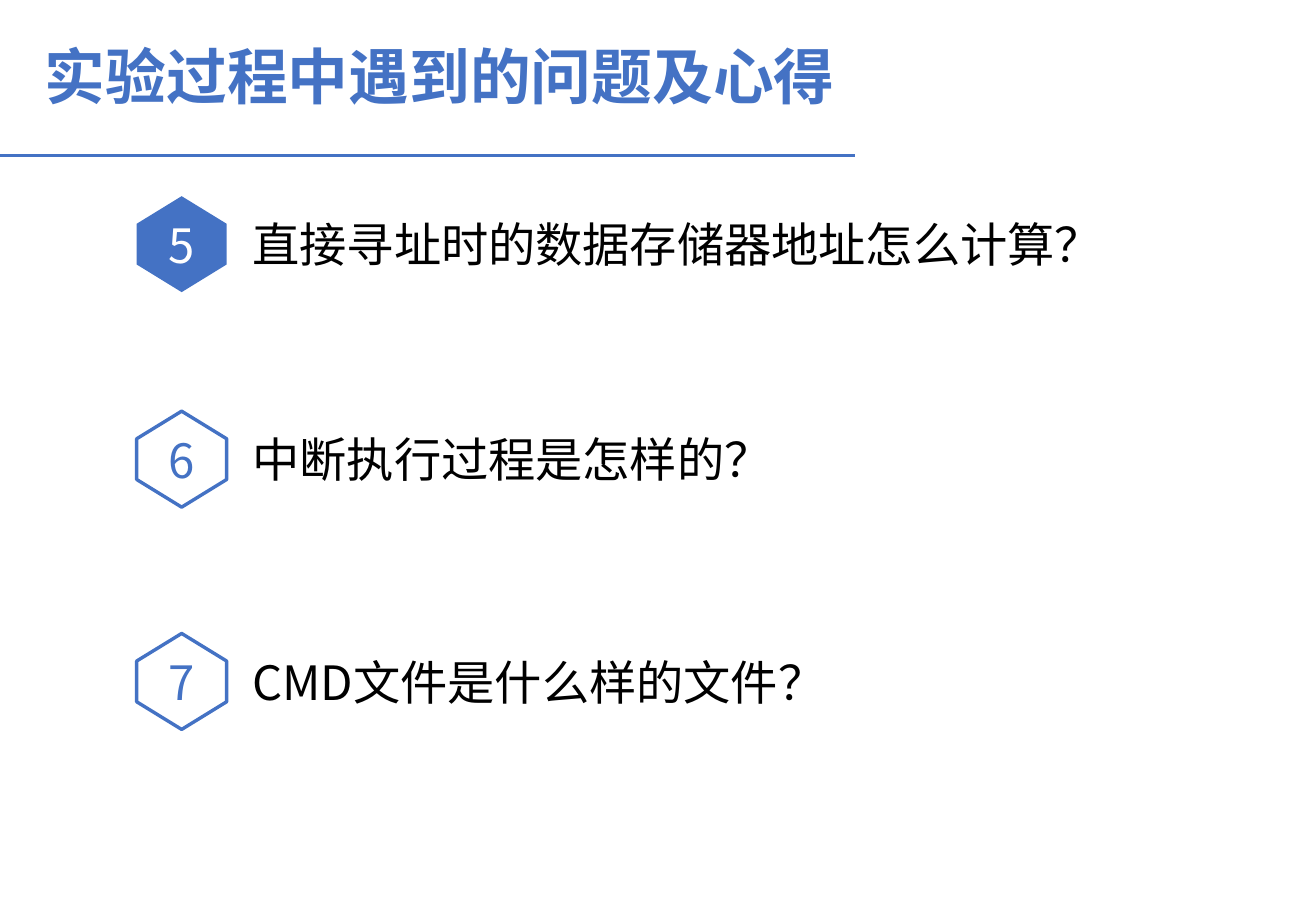
from lxml.etree import SubElement
from pptx import Presentation
from pptx.dml.color import RGBColor
from pptx.enum.lang import MSO_LANGUAGE_ID as Language
from pptx.enum.shapes import MSO_CONNECTOR as Connector, MSO_SHAPE as Shape
from pptx.enum.text import MSO_ANCHOR as Anchor, MSO_AUTO_SIZE as AutoSize, PP_ALIGN as Align
from pptx.oxml.ns import qn
from pptx.util import Inches, Pt

TITLE = "实验过程中遇到的问题及心得"
QUESTIONS = [
    {"number": "5", "text": "直接寻址时的数据存储器地址怎么计算？", "top": 1.64, "filled": True},
    {"number": "6", "text": "中断执行过程是怎样的？", "top": 3.41, "filled": False},
    {"number": "7", "text": "CMD文件是什么样的文件？", "top": 5.24, "filled": False},
]
FONT = "Noto Sans CJK SC"
BLUE, WHITE, BLACK = "4472C4", "FFFFFF", "000000"
WIDTH, HEIGHT = 10.83, 7.5
RULE_END, RULE_TOP = WIDTH * 0.65, 1.28
BADGE_LEFT, BADGE_WIDTH, BADGE_HEIGHT = 1.1, 0.79, 0.74
TEXT_LEFT, TEXT_WIDTH, TEXT_HEIGHT = 1.98, 7.87, 0.57


def color(value):
    return RGBColor.from_string(value)


def write(frame, text, size, shade, bold=False, **layout):
    para = frame.paragraphs[0]
    for name, value in layout.items():
        setattr(para, name, value)
    span = para.add_run()
    span.text = text
    formats = {"name": FONT, "size": Pt(size), "bold": bold,
               "language_id": Language.SIMPLIFIED_CHINESE}
    for name, value in formats.items():
        setattr(span.font, name, value)
    span.font.color.rgb = color(shade)
    SubElement(span.font._element, qn("a:ea"), typeface=FONT)


def add_text(page, area, text, size, shade, auto_size, **style):
    box = page.shapes.add_textbox(*map(Inches, area))
    box.text_frame.word_wrap = True
    box.text_frame.auto_size = auto_size
    write(box.text_frame, text, size, shade, **style)


def add_badge(page, number, top, filled):
    area = (BADGE_LEFT, top, BADGE_WIDTH, BADGE_HEIGHT)
    badge = page.shapes.add_shape(Shape.HEXAGON, *map(Inches, area))
    badge.rotation = 90
    badge.shadow.inherit = False
    badge.adjustments[0] = 0.307
    badge.adjustments[1] = 1.155
    if filled:
        badge.fill.solid()
        badge.fill.fore_color.rgb = color(BLUE)
        badge.line.fill.background()
    else:
        badge.fill.background()
        badge.line.color.rgb = color(BLUE)
        badge.line.width = Pt(2)
    frame = badge.text_frame
    frame.vertical_anchor = Anchor.MIDDLE
    frame._txBody.bodyPr.set("vert", "vert270")
    write(frame, number, 28, WHITE if filled else BLUE, alignment=Align.CENTER)


def add_rule(page):
    ends = (0, RULE_TOP, RULE_END, RULE_TOP)
    rule = page.shapes.add_connector(Connector.STRAIGHT, *map(Inches, ends))
    rule.line.color.rgb = color(BLUE)
    rule.line.width = Pt(1.25)
    SubElement(rule._element.spPr, qn("a:effectLst"))


def main():
    deck = Presentation()
    deck.slide_width, deck.slide_height = Inches(WIDTH), Inches(HEIGHT)
    page = deck.slides.add_slide(deck.slide_layouts[6])
    add_rule(page)
    add_text(page, (0.27, 0.34, 8.87, 0.71), TITLE, 36, BLUE, AutoSize.NONE,
             bold=True, line_spacing=0.9)
    for question in QUESTIONS:
        top = question["top"]
        add_badge(page, question["number"], top, question["filled"])
        text_top = top + (BADGE_HEIGHT - TEXT_HEIGHT) / 2
        add_text(page, (TEXT_LEFT, text_top, TEXT_WIDTH, TEXT_HEIGHT), question["text"],
                 28, BLACK, AutoSize.SHAPE_TO_FIT_TEXT, alignment=Align.JUSTIFY)
    deck.save("out.pptx")


if __name__ == "__main__":
    main()
